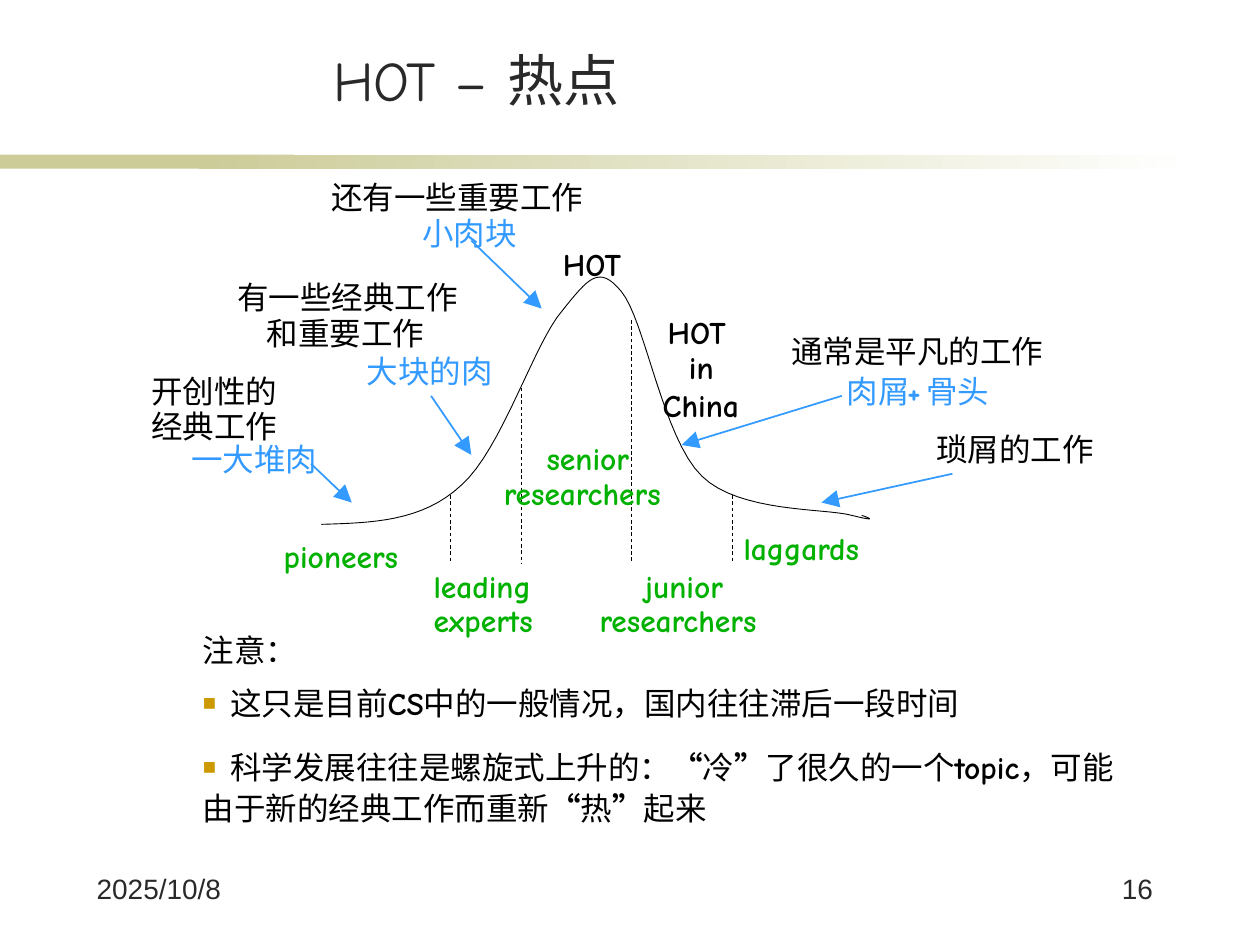
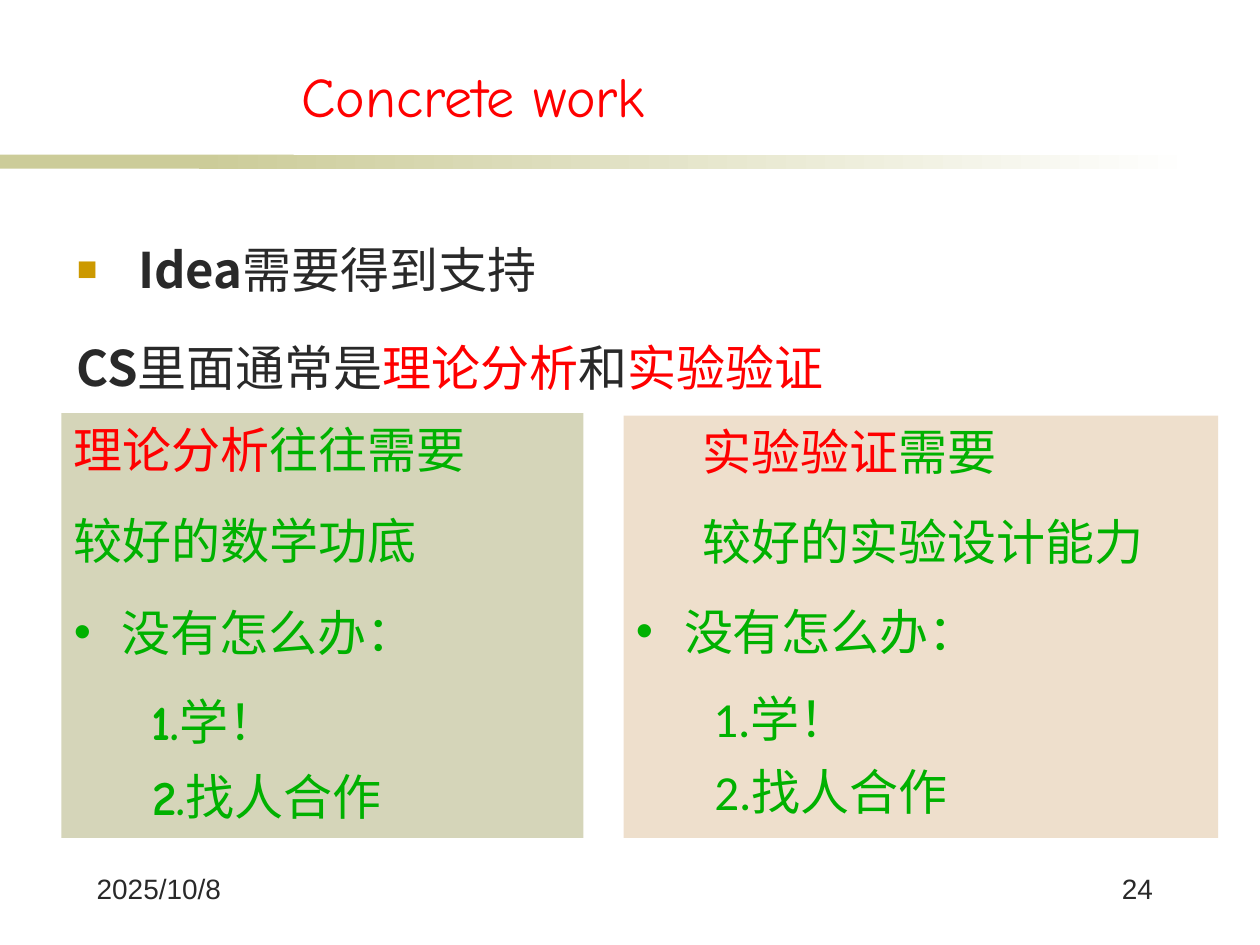
import dataclasses

import pptx
import pptx.dml.color
import pptx.enum.dml
import pptx.enum.shapes
import pptx.enum.text
import pptx.oxml
import pptx.oxml.ns
import pptx.util

Cm, Pt = pptx.util.Cm, pptx.util.Pt
qn = pptx.oxml.ns.qn
ALIGN = pptx.enum.text.PP_ALIGN
ANCHOR = pptx.enum.text.MSO_ANCHOR


@dataclasses.dataclass(frozen=True)
class Theme:
    ink: str = "292929"
    black: str = "000000"
    white: str = "FFFFFF"
    red: str = "FF0000"
    green: str = "00B100"
    blue: str = "339AFF"
    gold: str = "CC9900"
    band: str = "CCCC99"
    sage: str = "D5D5B9"
    sand: str = "EEDFCC"
    hand: str = "Comic Neue"
    plain: str = "Calibri"
    footer_font: str = "Arial"
    cjk: str = "Noto Sans CJK SC"
    title_size: int = 32
    large: int = 28
    small: int = 18
    footer_size: int = 16


T = Theme()


def rgb(code):
    return pptx.dml.color.RGBColor.from_string(code)


def set_all(target, values):
    for name, value in values.items():
        setattr(target, name, value)


def add_xml(parent, tag, **attributes):
    child = parent.makeelement(qn(tag), attributes)
    parent.append(child)
    return child


def run(text, font=T.plain, color=T.black, size=T.small, bold=False, spread=None):
    return dict(text=text, font=font, color=color, size=size, bold=bold, spread=spread)


def para(*runs, left=0, hang=0, bullet=None, **layout):
    """One paragraph; layout holds python-pptx paragraph attributes."""
    return dict(runs=runs, left=left, hang=hang, bullet=bullet, layout=layout)


class Deck:
    """Holds the presentation, the theme and the slide being filled."""

    def __init__(self, theme):
        self.theme = theme
        self.prs = pptx.Presentation()
        set_all(self.prs, dict(slide_width=Cm(25.4), slide_height=Cm(19.05)))
        self.slide = None

    def new_slide(self, number, title_runs, title_height):
        t = self.theme
        self.slide = self.prs.slides.add_slide(self.prs.slide_layouts[6])
        # Band under the title
        self.panel((0, 3.12, 5.92, 0.28), t.band)
        self.panel((4.01, 3.12, 20.12, 0.28), t.band, fade_to=t.white)
        # Title and footer
        self.text((0, 0.79, 19.46, title_height),
                  [para(*title_runs, alignment=ALIGN.CENTER)], anchor=ANCHOR.BOTTOM)
        for box, words, align in (((1.7, 17.45, 3.58, 1.27), "2025/10/8", ALIGN.LEFT),
                                  ((20.9, 17.45, 2.59, 1.27), str(number), ALIGN.RIGHT)):
            self.text(box, [para(run(words, t.footer_font, t.ink, t.footer_size),
                                 alignment=align)])

    def panel(self, box, color, fade_to=None, paragraphs=()):
        shape = self.slide.shapes.add_shape(
            pptx.enum.shapes.MSO_SHAPE.RECTANGLE, *map(Cm, box))
        shape.shadow.inherit = False
        shape.line.fill.background()
        if fade_to:
            shape.fill.gradient()
            shape.fill.gradient_angle = 0
            for stop, shade in zip(shape.fill.gradient_stops, (color, fade_to)):
                stop.color.rgb = rgb(shade)
        else:
            shape.fill.solid()
            shape.fill.fore_color.rgb = rgb(color)
        if paragraphs:
            self.fill_text(shape.text_frame, paragraphs)

    def text(self, box, paragraphs, **frame):
        shape = self.slide.shapes.add_textbox(*map(Cm, box))
        self.fill_text(shape.text_frame, paragraphs, **frame)

    def fill_text(self, frame, paragraphs, anchor=ANCHOR.TOP, **margins):
        set_all(frame, dict(word_wrap=True, vertical_anchor=anchor, **margins))
        for index, item in enumerate(paragraphs):
            target = frame.add_paragraph() if index else frame.paragraphs[0]
            set_all(target, {"alignment": ALIGN.LEFT, **item["layout"]})
            props = target._p.get_or_add_pPr()
            props.set("marL", str(Cm(item["left"])))
            props.set("indent", str(Cm(item["hang"])))
            if item["bullet"]:
                char, color, percent = item["bullet"]
                add_xml(add_xml(props, "a:buClr"), "a:srgbClr", val=color)
                add_xml(props, "a:buSzPct", val=str(percent * 1000))
                add_xml(props, "a:buFont", typeface=self.theme.footer_font)
                add_xml(props, "a:buChar", char=char)
            for piece in item["runs"]:
                self.add_run(target, piece)

    def add_run(self, target, piece):
        part = target.add_run()
        part.text = piece["text"]
        set_all(part.font, dict(name=piece["font"], size=Pt(piece["size"]),
                                bold=piece["bold"]))
        part.font.color.rgb = rgb(piece["color"])
        props = part._r.get_or_add_rPr()
        add_xml(props, "a:ea", typeface=self.theme.cjk)
        if piece["spread"]:
            props.set("spc", str(piece["spread"] * 100))

    def label(self, words, x, y, color):
        latin = words.isascii()
        font = self.theme.hand if latin else self.theme.plain
        width = len(words) * (0.43 if latin else 0.82)
        margins = dict.fromkeys(
            ("margin_left", "margin_top", "margin_right", "margin_bottom"), 0)
        self.text((x, y, width, 0.86),
                  [para(run(words, font, color, bold=latin), line_spacing=1.07)], **margins)

    def line(self, start, end, color, width, dashed=False, arrow=False):
        link = self.slide.shapes.add_connector(
            pptx.enum.shapes.MSO_CONNECTOR.STRAIGHT, *map(Cm, start + end))
        link.line.color.rgb = rgb(color)
        link.line.width = Pt(width)
        if dashed:
            link.line.dash_style = pptx.enum.dml.MSO_LINE.DASH
        if arrow:
            add_xml(link.line._get_or_add_ln(), "a:tailEnd", type="triangle", w="lg", len="lg")
        add_xml(link._element.spPr, "a:effectLst")

    def curve(self, start, segments, color, width, steps=16):
        """Draw a chain of cubic Bezier segments as a fine open outline."""
        points = []
        p0 = start
        for p1, p2, p3 in segments:
            for step in range(1, steps + 1):
                t = step / steps
                u = 1 - t
                points.append(tuple(
                    Cm(u**3 * a + 3 * u * u * t * b + 3 * u * t * t * c + t**3 * d)
                    for a, b, c, d in zip(p0, p1, p2, p3)))
            p0 = p3
        builder = self.slide.shapes.build_freeform(*map(Cm, start))
        builder.add_line_segments(points, close=False)
        shape = builder.convert_to_shape()
        shape.shadow.inherit = False
        shape.fill.background()
        shape.line.color.rgb = rgb(color)
        shape.line.width = Pt(width)


SQUARE = ("■", T.gold, 70)


def hot_topic(deck):
    deck.new_slide(16, [run("HOT – ", T.hand, T.ink, T.title_size),
                        run("热点 ", T.cjk, T.ink, T.title_size)], 1.6)

    # Remarks below the curve
    def strong(words):
        return run(words, T.hand, bold=True)

    gap = run(" ", T.hand, spread=4)
    spacing = dict(left=3.84, line_spacing=1.1, space_before=Pt(4.3))
    deck.panel((0, 12.52, 23.22, 4.32), T.white, paragraphs=[
        para(run("注意："), space_after=Pt(2.5), **spacing),
        para(gap, run("这只是目前"), strong("CS"),
             run("中的一般情况，国内往往滞后一段时间"),
             bullet=SQUARE, space_after=Pt(8), **spacing),
        para(gap, run("科学发展往往是螺旋式上升的："), strong("“"), run("冷"), strong("”"),
             run("了很久的一个"), strong("topic"), run("，可能由于新的经典工作而重新"),
             strong("“"), run("热"), strong("”"), run("起来"),
             bullet=SQUARE, space_after=Pt(4.3), **spacing),
    ])

    # Popularity curve and its stage borders
    deck.curve((6.48, 10.57), [
        ((7.49, 10.54), (8.51, 10.52), (9.3, 9.78)),
        ((10.11, 9.07), (10.77, 6.91), (11.33, 6.27)),
        ((11.86, 5.61), (12.07, 5.33), (12.52, 5.87)),
        ((13, 6.43), (13.36, 8.84), (14.15, 9.6)),
        ((14.91, 10.34), (16.64, 10.24), (17.17, 10.39)),
        ((17.7, 10.52), (17.53, 10.44), (17.37, 10.39)),
    ], T.black, 0.5)
    for x, top in ((9.09, 9.98), (10.52, 7.82), (12.73, 6.45), (14.76, 9.98)):
        deck.line((x, top), (x, 11.35), T.black, 0.5, dashed=True)

    # Researchers, remarks on the work and the share of meat
    labels = {
        T.green: [("pioneers", 5.72, 10.77), ("leading", 8.74, 11.38),
                  ("experts", 8.74, 12.07), ("senior", 11.02, 8.79),
                  ("researchers", 10.16, 9.5), ("junior", 13, 11.38),
                  ("researchers", 12.09, 12.07), ("laggards", 14.99, 10.62)],
        T.black: [("HOT", 11.35, 4.88), ("HOT", 13.46, 6.25), ("in", 13.89, 6.96),
                  ("China", 13.36, 7.72), ("开创性的", 3.05, 7.44),
                  ("经典工作", 3.05, 8.15), ("有一些经典工作", 4.78, 5.56),
                  ("和重要工作", 5.38, 6.27), ("还有一些重要工作", 6.68, 3.53),
                  ("通常是平凡的工作", 15.95, 6.65), ("琐屑的工作", 18.87, 8.61)],
        T.blue: [("一大堆肉", 3.86, 8.81), ("大块的肉", 7.39, 7.04),
                 ("小肉块", 8.51, 4.27), ("肉屑", 17.07, 7.44),
                 ("+", 18.29, 7.44), ("骨头", 18.67, 7.44)],
    }
    for color, entries in labels.items():
        for words, x, y in entries:
            deck.label(words, x, y, color)

    # Arrows from the remarks to the curve
    for start, end in (((6.27, 9.35), (7.09, 10.13)), ((8.69, 7.98), (9.5, 9.17)),
                       ((9.5, 4.85), (10.92, 6.22)), ((16.97, 7.98), (13.74, 8.97)),
                       ((19.2, 9.55), (16.56, 10.13))):
        deck.line(start, end, T.blue, 1, arrow=True)


def concrete_work(deck):
    deck.new_slide(24, [run("Concrete work ", T.hand, T.red, T.title_size)], 1.93)

    # Main statement
    def claim(words, color=T.ink, bold=False):
        return run(words, T.cjk, color, T.large, bold)

    spacing = dict(line_spacing=1.5, space_before=Pt(5.6))
    deck.panel((1.3, 4.11, 22.61, 12.19), T.white, paragraphs=[
        para(claim("Idea", bold=True), claim("需要得到支持"),
             left=1.24, hang=-1.24, bullet=SQUARE, **spacing),
        para(claim("CS", bold=True), claim("里面通常是"), claim("理论分析", T.red),
             claim("和"), claim("实验验证", T.red), **spacing),
    ])

    # Experiment and theory panels
    panels = (
        ((12.57, 8.38, 11.99, 8.51), T.sand, "实验验证", "需要", "较好的实验设计能力",
         1.35, 5.6, T.plain),
        ((1.24, 8.33, 10.52, 8.56), T.sage, "理论分析", "往往需要", "较好的数学功底",
         0, 6.7, T.hand),
    )
    for box, fill, topic, need, skill, inset, before, digit_font in panels:
        def note(words, color=T.green, font=T.plain):
            return run(words, font, color, T.large, bold=font == T.hand)

        def row(*runs, after, **place):
            return para(*runs, space_before=Pt(before), space_after=Pt(after), **place)

        deck.panel(box, fill, paragraphs=[
            row(note(topic, T.red), note(need), left=inset, after=12),
            row(note(skill), left=inset, after=12),
            row(note("没有怎么办："), left=0.97, hang=-0.97, after=10.5,
                bullet=("•", T.green, 100)),
            row(note("1.", font=digit_font), note("学！"), left=1.56, after=2.5),
            row(note("2.", font=digit_font), note("找人合作"), left=1.58, after=10.5),
        ])


def main():
    deck = Deck(T)
    hot_topic(deck)
    concrete_work(deck)
    deck.prs.save("out.pptx")


if __name__ == "__main__":
    main()
